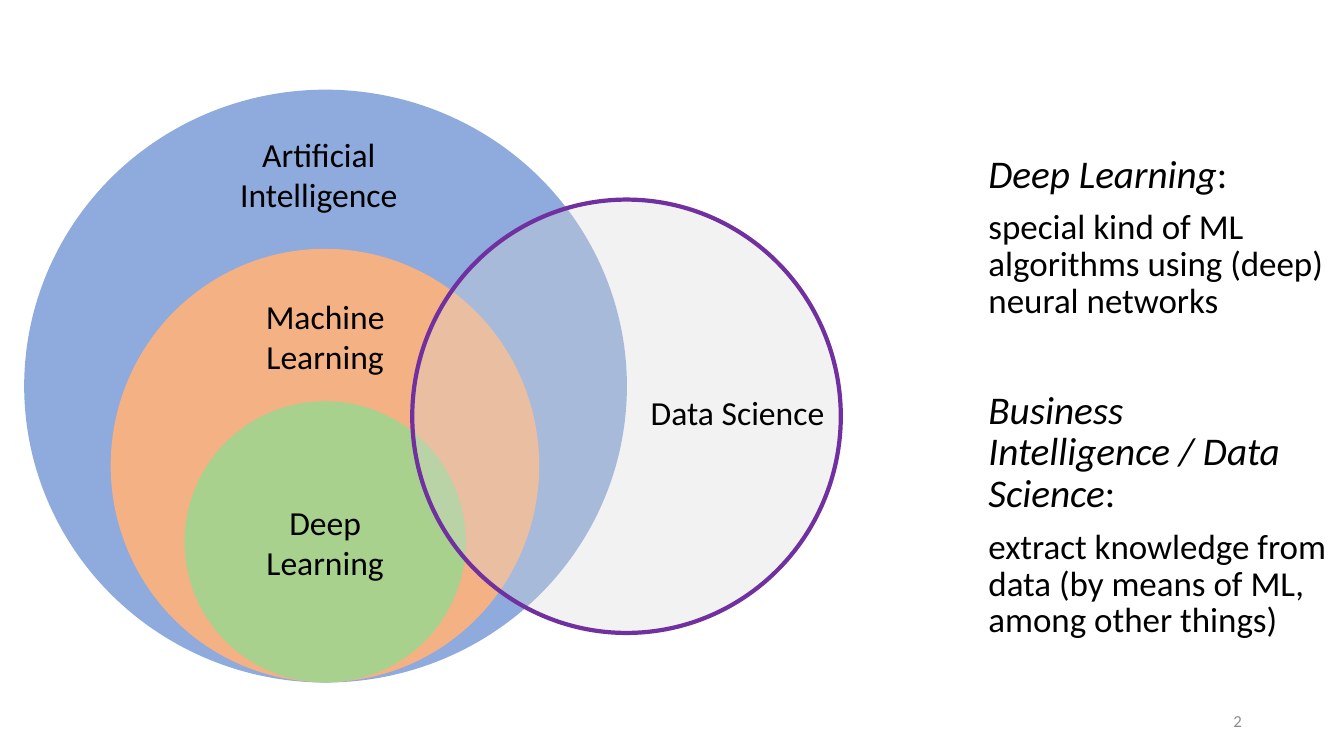
from pptx import Presentation, util as u
from pptx.dml.color import RGBColor
from pptx.enum import shapes, text
from pptx.oxml.ns import qn
from lxml import etree

FONT = "Calibri"
BLACK = RGBColor(0x00, 0x00, 0x00)
GREY = RGBColor(0x8C, 0x8C, 0x8C)
BLUE = RGBColor(0x8F, 0xAA, 0xDC)
ORANGE = RGBColor(0xF4, 0xB1, 0x83)
GREEN = RGBColor(0xA9, 0xD1, 0x8E)
SILVER = RGBColor(0xD9, 0xD9, 0xD9)
PURPLE = RGBColor(0x70, 0x30, 0xA0)

# Content: positions are left, top, width, height in centimetres
FIELDS = [
    ((0.61, 2.26, 15.19, 14.94), BLUE, []),
    ((2.79, 6.27, 10.8, 10.92), ORANGE, []),
    ((4.65, 10.11, 7.09, 7.09), GREEN, ["Deep", "Learning"]),
]
LABELS = [
    ((5.97, 7.32, 4.45, 2.31), "Machine Learning", text.PP_ALIGN.CENTER),
    ((5.56, 3.25, 4.95, 2.31), "Artificial Intelligence", text.PP_ALIGN.CENTER),
    ((16.15, 9.75, 5.18, 1.27), "Data Science", text.PP_ALIGN.LEFT),
]
DATA_SCIENCE = (10.39, 5.03, 10.8, 10.92)
DATA_SCIENCE_OPACITY = 34
DEFINITIONS = [
    ("Deep Learning",
     "special kind of ML algorithms using (deep) neural networks"),
    ("Business Intelligence / Data Science",
     "extract knowledge from data (by means of ML, among other things)"),
]
DEFINITIONS_AT = (24.66, 3.78, 9.2, 12.09)
PAGE_NUMBER_AT = (23.93, 17.65, 7.62, 1.02)


def lengths(place):
    return [u.Cm(value) for value in place]


def style(para, size, color=BLACK, align=text.PP_ALIGN.LEFT):
    para.alignment = align
    para.font.name = FONT
    para.font.size = u.Pt(size)
    para.font.color.rgb = color


def add_ellipse(page, place, color):
    ellipse = page.shapes.add_shape(shapes.MSO_SHAPE.OVAL, *lengths(place))
    ellipse.shadow.inherit = False
    ellipse.fill.solid()
    ellipse.fill.fore_color.rgb = color
    ellipse.line.fill.background()
    return ellipse


def add_text(page, place):
    frame = page.shapes.add_textbox(*lengths(place)).text_frame
    frame.word_wrap = True
    return frame


deck = Presentation()
deck.slide_width, deck.slide_height = u.Cm(33.87), u.Cm(19.05)
page = deck.slides.add_slide(deck.slide_layouts[6])

# Page number
frame = add_text(page, PAGE_NUMBER_AT)
frame.vertical_anchor = text.MSO_ANCHOR.MIDDLE
frame.text = "2"
style(frame.paragraphs[0], 12, GREY, text.PP_ALIGN.RIGHT)

# Definitions: an italic term, then its explanation
frame = add_text(page, DEFINITIONS_AT)
for index, (term, meaning) in enumerate(DEFINITIONS):
    heading = frame.add_paragraph() if index else frame.paragraphs[0]
    style(heading, 28)
    heading.space_before = u.Pt(50 if index else 0)
    span = heading.add_run()
    span.text = term
    span.font.italic = True
    heading.add_run().text = ":"
    body = frame.add_paragraph()
    body.text = meaning
    style(body, 25)
    body.space_before = u.Pt(10)
    heading.line_spacing = body.line_spacing = 0.88

# Nested fields
for place, color, lines in FIELDS:
    ellipse = add_ellipse(page, place, color)
    if lines:
        ellipse.text_frame.text = "\n".join(lines)
        for para in ellipse.text_frame.paragraphs:
            style(para, 24, align=text.PP_ALIGN.CENTER)

# Data science: see-through, outlined circle
circle = add_ellipse(page, DATA_SCIENCE, SILVER)
circle.line.color.rgb = PURPLE
circle.line.width = u.Pt(3)
color_element = circle.fill._xPr.find(qn("a:solidFill"))[0]
etree.SubElement(color_element, qn("a:alpha"), val=str(DATA_SCIENCE_OPACITY * 1000))

# Labels
for place, label, align in LABELS:
    frame = add_text(page, place)
    frame.text = label
    style(frame.paragraphs[0], 24, align=align)

deck.save("out.pptx")
